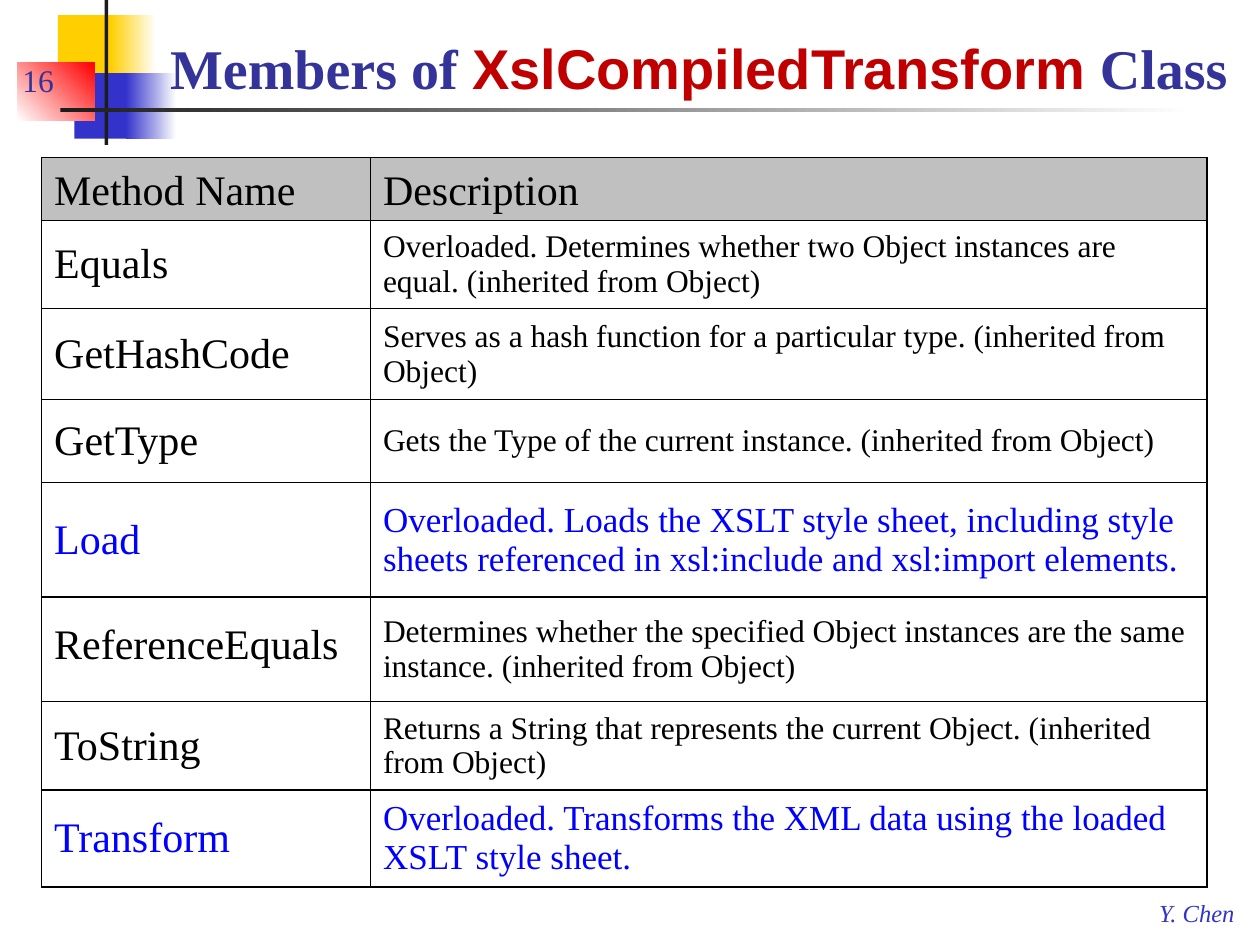
from dataclasses import dataclass

import pptx
import pptx.dml.color
import pptx.enum.shapes
import pptx.enum.text
import pptx.oxml
import pptx.oxml.ns
import pptx.util

ANCHOR = pptx.enum.text.MSO_ANCHOR
COLORS = {
    "yellow": "FFCF01", "blue": "3333CC", "red": "FF0000", "dark": "1C1C1C",
    "white": "FFFFFF", "black": "000000", "title": "333399", "class": "C00000",
    "header": "C0C0C0", "key": "0000FF",
}
SERIF, SANS = "Times New Roman", "Arial"
COLS, ROWS = 100, 75  # slide grid
prs = pptx.Presentation()
prs.slide_width, prs.slide_height = pptx.util.Inches(10), pptx.util.Inches(7.5)


@dataclass
class Box:
    """Left, top, width and height in grid columns and rows."""
    col: float
    row: float
    cols: float
    rows: float

    def emu(self) -> tuple:
        return x(self.col), y(self.row), x(self.cols), y(self.rows)


@dataclass
class Block:
    box: Box
    start: str
    end: str = ""
    angle: float = 0


@dataclass
class Method:
    name: str
    description: str
    rows: float
    key: bool = False
    header: bool = False
    spacing: float = 0  # line spacing of a top-aligned, unfilled name cell


BLOCKS = [
    Block(Box(4.6, 1.2, 4.8, 5.2), "yellow"),
    Block(Box(8.8, 1.2, 3.6, 5.2), "yellow", "white"),
    Block(Box(5.9, 5.8, 4.6, 5.2), "blue"),
    Block(Box(10, 5.8, 4, 5.2), "blue", "white"),
    Block(Box(1.4, 5, 6.1, 4.6), "white", "red", 45),
    Block(Box(8.3, 0, 0.3, 11.5), "dark"),
    Block(Box(4.8, 8.6, 90, 0.3), "dark", "white"),
]
METHODS = [
    Method("Method Name", "Description", 5, header=True),
    Method("Equals", "Overloaded. Determines whether two Object instances are equal. "
           "(inherited from Object)", 7),
    Method("GetHashCode", "Serves as a hash function for a particular type. "
           "(inherited from Object)", 7.2),
    Method("GetType", "Gets the Type of the current instance. (inherited from Object)", 6.6),
    Method("Load", "Overloaded. Loads the XSLT style sheet, including style sheets "
           "referenced in xsl:include and xsl:import elements.", 9.1, key=True),
    Method("ReferenceEquals", "Determines whether the specified Object instances are the "
           "same instance. (inherited from Object)", 8.3, spacing=1.4),
    Method("ToString", "Returns a String that represents the current Object. "
           "(inherited from Object)", 7),
    Method("Transform", "Overloaded. Transforms the XML data using the loaded XSLT "
           "style sheet.", 7.7, key=True),
]


def x(cols: float) -> int:
    return round(prs.slide_width * cols / COLS)


def y(rows: float) -> int:
    return round(prs.slide_height * rows / ROWS)


def rgb(name: str) -> pptx.dml.color.RGBColor:
    return pptx.dml.color.RGBColor.from_string(COLORS[name])


def style(font, size: float, color: str, name: str = SERIF) -> None:
    font.size, font.name = pptx.util.Pt(size), name
    font.color.rgb = rgb(color)


def add_block(s, block: Block) -> None:
    sp = s.shapes.add_shape(pptx.enum.shapes.MSO_SHAPE.RECTANGLE, *block.box.emu())
    sp.shadow.inherit = False
    sp.line.fill.background()
    if not block.end:
        sp.fill.solid()
        sp.fill.fore_color.rgb = rgb(block.start)
        return
    sp.fill.gradient()
    sp.fill.gradient_angle = block.angle
    for stop, color in zip(sp.fill.gradient_stops, (block.start, block.end)):
        stop.color.rgb = rgb(color)


def add_label(s, box: Box, text: str, size: float, color: str, wrap: bool = True):
    tf = s.shapes.add_textbox(*box.emu()).text_frame
    tf.word_wrap = wrap
    p = tf.paragraphs[0]
    p.text = text
    style(p.font, size, color)
    return tf


def set_title(s, box: Box, parts: list) -> None:
    sp = s.shapes.title
    sp.left, sp.top, sp.width, sp.height = box.emu()
    tf = sp.text_frame
    tf.auto_size = pptx.enum.text.MSO_AUTO_SIZE.NONE
    tf.vertical_anchor = ANCHOR.BOTTOM
    p = tf.paragraphs[0]
    p.alignment = pptx.enum.text.PP_ALIGN.LEFT
    p.font.bold = True
    for text, color, font in parts:
        r = p.add_run()
        r.text = text
        style(r.font, 32, color, font)
    s.shapes._spTree.append(sp._element)  # in front of the blocks


def add_borders(cell) -> None:
    """Put a thin black line on all four sides, ahead of the cell's fill."""
    tc_pr = cell._tc.get_or_add_tcPr()
    for i, side in enumerate(("lnL", "lnR", "lnT", "lnB")):
        tc_pr.insert(i, pptx.oxml.parse_xml(
            f'<a:{side} {pptx.oxml.ns.nsdecls("a")} w="12700"><a:solidFill>'
            f'<a:srgbClr val="{COLORS["black"]}"/></a:solidFill></a:{side}>'))


def fill_cell(cell, text: str, size: float, method: Method, spacing: float = 0) -> None:
    p = cell.text_frame.paragraphs[0]
    p.text = text
    style(p.font, size, "key" if method.key else "black")
    p.font.bold = False
    cell.vertical_anchor = ANCHOR.BOTTOM if method.header else ANCHOR.MIDDLE
    if spacing:
        p.line_spacing = spacing
        cell.vertical_anchor = ANCHOR.TOP
        cell.fill.background()
    else:
        cell.fill.solid()
        cell.fill.fore_color.rgb = rgb("header" if method.header else "white")
    add_borders(cell)


def add_methods(s, box: Box, name_cols: float) -> None:
    table = s.shapes.add_table(len(METHODS), 2, *box.emu()).table
    table.first_row = table.horz_banding = False
    table.columns[0].width = x(name_cols)
    table.columns[1].width = x(box.cols - name_cols)
    for i, method in enumerate(METHODS):
        table.rows[i].height = y(method.rows)
        size = 24 if method.header else 20 if method.key else 18
        fill_cell(table.cell(i, 0), method.name, 24, method, method.spacing)
        fill_cell(table.cell(i, 1), method.description, size, method)


def main() -> None:
    s = prs.slides.add_slide(prs.slide_layouts[5])
    for block in BLOCKS:
        add_block(s, block)
    author = add_label(s, Box(91, 70.8, 8.2, 3.3), "Y. Chen", 14, "blue", wrap=False)
    author.paragraphs[0].font.italic = True
    number = add_label(s, Box(0.8, 3.3, 8.3, 5), "16", 18, "title")
    number.vertical_anchor = ANCHOR.BOTTOM
    set_title(s, Box(12.5, 1.7, 86.7, 6.8), [
        ("Members of ", "title", SERIF),
        ("XslCompiledTransform", "class", SANS),
        (" Class", "title", SERIF),
    ])
    add_methods(s, Box(3.3, 12.5, 92.5, sum(m.rows for m in METHODS)), 26.1)
    prs.save("out.pptx")


if __name__ == "__main__":
    main()
